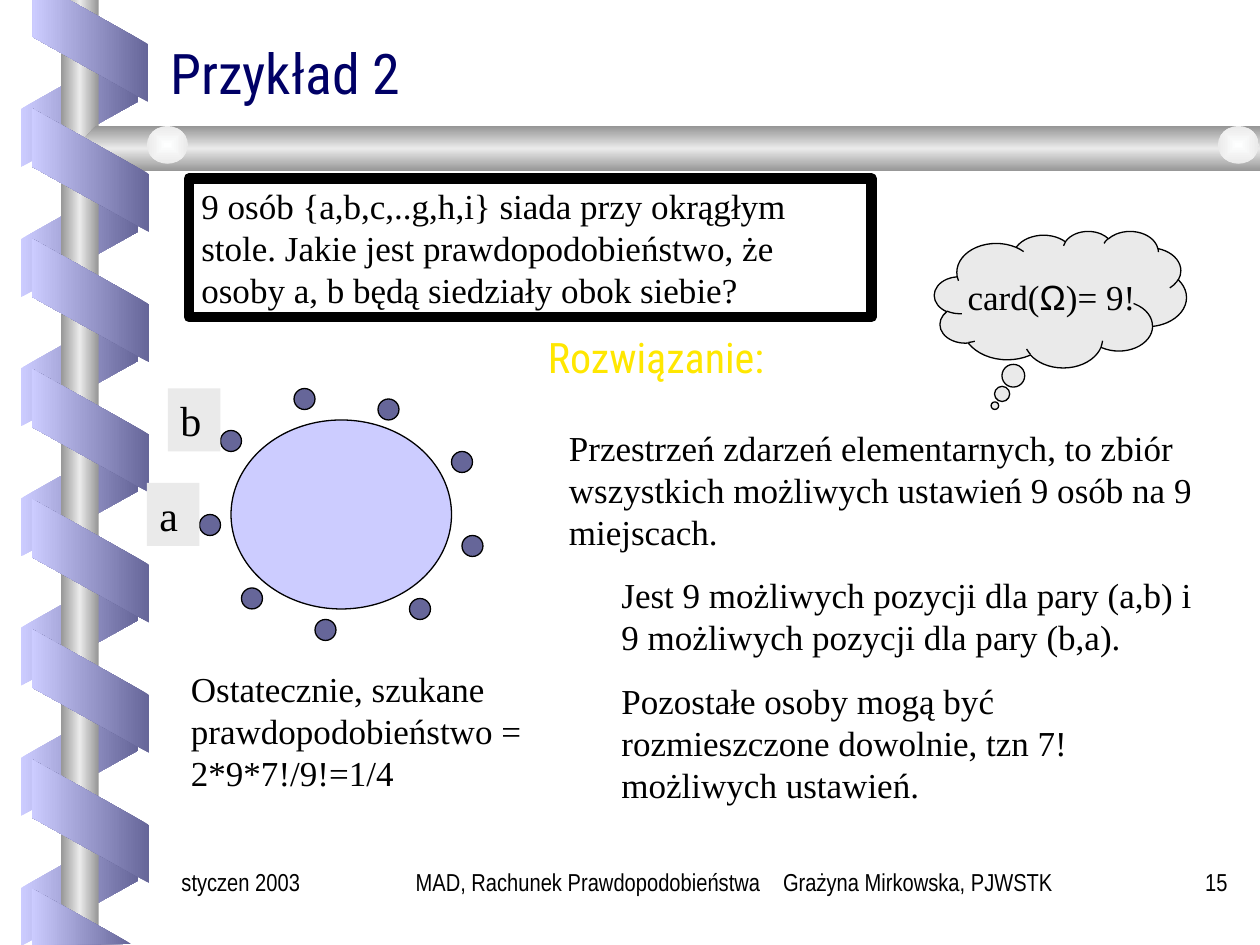
from pptx import Presentation
from pptx.dml.color import RGBColor
from pptx.enum.shapes import MSO_SHAPE
from pptx.enum.text import MSO_ANCHOR, MSO_AUTO_SIZE, PP_ALIGN
from pptx.oxml import parse_xml
from pptx.oxml.ns import nsdecls, qn
from pptx.util import Pt
from lxml import etree

PX = 7620  # EMU per px, 120 px to the inch
RECTANGLE, ELLIPSE = MSO_SHAPE.RECTANGLE, MSO_SHAPE.OVAL
PARALLELOGRAM, CLOUD = MSO_SHAPE.PARALLELOGRAM, MSO_SHAPE.CLOUD_CALLOUT
TOP, MIDDLE, BOTTOM = MSO_ANCHOR.TOP, MSO_ANCHOR.MIDDLE, MSO_ANCHOR.BOTTOM
LEFT, CENTER, RIGHT = PP_ALIGN.LEFT, PP_ALIGN.CENTER, PP_ALIGN.RIGHT

BLACK = RGBColor(0x00, 0x00, 0x00)
NAVY = RGBColor(0x00, 0x00, 0x66)
YELLOW = RGBColor(0xFF, 0xE7, 0x01)
LILAC = RGBColor(0xCC, 0xCC, 0xFF)
SLATE = RGBColor(0x66, 0x66, 0x99)
PALE_GREY = RGBColor(0xEA, 0xEA, 0xEA)
MID_GREY = RGBColor(0x96, 0x96, 0x96)
BRIGHT = RGBColor(0xFE, 0xFF, 0xFF)

SERIF, HEADING, NARROW, SANS = "Times New Roman", "Roboto Condensed", "Arial Narrow", "Arial"
STEEL = [MID_GREY, PALE_GREY, MID_GREY]


class SlideBuilder:
    def __init__(self, slide):
        self.slide = slide

    def gradient(self, shape, colors, angle=None):
        """Spread the colours evenly; without an angle they run from centre to edge."""
        stops = "".join(
            f'<a:gs pos="{100000 * i // (len(colors) - 1)}"><a:srgbClr val="{color}"/></a:gs>'
            for i, color in enumerate(colors))
        if angle is None:
            course = ('<a:path path="rect"><a:fillToRect l="50000" t="50000" '
                      'r="50000" b="50000"/></a:path>')
        else:
            course = f'<a:lin ang="{angle * 60000}" scaled="0"/>'
        shape.fill.gradient()
        properties = shape._element.spPr
        properties.replace(properties.find(qn("a:gradFill")), parse_xml(
            f'<a:gradFill {nsdecls("a")} rotWithShape="0">'
            f'<a:gsLst>{stops}</a:gsLst>{course}</a:gradFill>'))

    def finish(self, shape, fill, line, line_width):
        shape.shadow.inherit = False
        if fill is None:
            shape.fill.background()
        else:
            shape.fill.solid()
            shape.fill.fore_color.rgb = fill
        if line is None:
            shape.line.fill.background()
        else:
            shape.line.color.rgb = line
            shape.line.width = Pt(line_width)
        return shape

    def shape(self, kind, left, top, width, height, fill=None, line=None, line_width=0.75):
        shape = self.slide.shapes.add_shape(
            kind, left * PX, top * PX, width * PX, height * PX)
        return self.finish(shape, fill, line, line_width)

    def outline(self, points, colors, angle):
        builder = self.slide.shapes.build_freeform(*points[0], scale=PX)
        builder.add_line_segments(points[1:], close=True)
        shape = self.finish(builder.convert_to_shape(), None, None, 0)
        self.gradient(shape, colors, angle)

    def ribbon(self, left, top, rotation, colors, flipped=False):
        shape = self.shape(PARALLELOGRAM, left, top, 118, 112)
        shape.adjustments[0] = 0.56
        shape.rotation = rotation
        if flipped:
            shape._element.spPr.xfrm.set("flipH", "1")
        self.gradient(shape, colors, 180)

    def put_text(self, shape, texts, size=20, font=SERIF, color=BLACK, align=LEFT,
                 anchor=TOP, wrap=True, tab=None):
        """Fill a shape with paragraphs; each is a string or a list of (text, font) runs."""
        frame = shape.text_frame
        frame.auto_size = MSO_AUTO_SIZE.NONE
        frame.word_wrap = wrap
        frame.vertical_anchor = anchor
        for i, text in enumerate(texts):
            paragraph = frame.add_paragraph() if i else frame.paragraphs[0]
            if tab:
                tabs = etree.SubElement(paragraph._p.get_or_add_pPr(), qn("a:tabLst"))
                etree.SubElement(tabs, qn("a:tab"), pos=str(tab * PX), algn="l")
            paragraph.alignment = align
            if i:
                paragraph.space_before = Pt(12.5)
            paragraph.font.size = Pt(size)
            paragraph.font.color.rgb = color
            if isinstance(text, str):
                paragraph.font.name = font
                paragraph.add_run().text = text
            else:
                for run_text, run_font in text:
                    run = paragraph.add_run()
                    run.text = run_text
                    run.font.name = run_font

    def text(self, left, top, width, height, *texts, **style):
        box = self.slide.shapes.add_textbox(left * PX, top * PX, width * PX, height * PX)
        self.put_text(box, texts, **style)

    def title(self, left, top, width, height, text):
        title = self.slide.shapes.title
        title.left, title.top = left * PX, top * PX
        title.width, title.height = width * PX, height * PX
        self.put_text(title, [text], size=32, font=HEADING, color=NAVY, anchor=BOTTOM)
        title.text_frame.paragraphs[0].line_spacing = 0.8


def draw_frame(builder):
    for i in range(7):
        builder.ribbon(17, round(44 + 123.6 * i), 90, [LILAC, SLATE], flipped=True)
    builder.gradient(builder.shape(RECTANGLE, 58, 0, 36, 900), STEEL, 180)
    builder.outline([(1200, 120), (91, 120), (72, 142), (91, 163), (1200, 163)], STEEL, 90)
    for left in (140, 1160):
        builder.gradient(builder.shape(ELLIPSE, left, 120, 39, 36), [BRIGHT, PALE_GREY])
    for i in range(6):
        builder.ribbon(27, 106 + 124 * i, 270, [SLATE, LILAC])
    for points in ([(31, 0), (31, 35), (141, 97), (141, 42), (66, 0)],
                   [(125, 899), (30, 846), (30, 900)]):
        builder.outline(points, [SLATE, LILAC], 180)


def draw_table_with_people(builder):
    builder.shape(ELLIPSE, 220, 400, 210, 180, LILAC, BLACK)
    seats = [(280, 370), (360, 380), (430, 430), (390, 570), (440, 510),
             (210, 410), (190, 490), (230, 560), (300, 590)]
    for left, top in seats:
        builder.shape(ELLIPSE, left, top, 20, 20, SLATE, BLACK)
    for name, left, top in (("a", 140, 460), ("b", 160, 370)):
        label = builder.shape(RECTANGLE, left, top, 50, 60, PALE_GREY)
        builder.put_text(label, [name], size=24)


def main():
    presentation = Presentation()
    presentation.slide_width, presentation.slide_height = 1200 * PX, 900 * PX
    builder = SlideBuilder(presentation.slides.add_slide(presentation.slide_layouts[5]))

    draw_frame(builder)
    builder.title(150, 30, 1020, 76, "Przykład 2")
    problem = builder.shape(RECTANGLE, 180, 170, 650, 132, line=BLACK, line_width=6)
    builder.put_text(problem, [
        "9 osób {a,b,c,..g,h,i} siada przy okrągłym stole. Jakie jest "
        "prawdopodobieństwo, że osoby a, b będą siedziały obok siebie?"])
    builder.text(530, 400, 620, 132,
                 "Przestrzeń zdarzeń elementarnych, to zbiór wszystkich "
                 "możliwych ustawień 9 osób na 9 miejscach.")
    draw_table_with_people(builder)

    cloud = builder.shape(CLOUD, 890, 220, 240, 130, PALE_GREY, BLACK)
    cloud.adjustments[0], cloud.adjustments[1] = -0.26, 0.78
    builder.put_text(cloud, [[("card(", SERIF), ("Ω", SANS), (")= 9!", SERIF)]],
                     align=CENTER, anchor=MIDDLE, wrap=False)

    builder.text(580, 540, 570, 233,
                 "Jest 9 możliwych pozycji dla pary (a,b) i 9 możliwych pozycji dla pary (b,a).",
                 "Pozostałe osoby mogą być rozmieszczone dowolnie, tzn 7! możliwych ustawień.")
    builder.text(170, 630, 390, 132,
                 "Ostatecznie, szukane prawdopodobieństwo = 2*9*7!/9!=1/4")
    builder.text(510, 310, 312, 70, "Rozwiązanie:",
                 size=24, font=HEADING, color=YELLOW, wrap=False)

    footer = {"size": 14, "font": NARROW}
    builder.text(161, 820, 169, 60, "styczen 2003", **footer)
    builder.text(384, 820, 690, 60,
                 "MAD, Rachunek Prawdopodobieństwa\tGrażyna Mirkowska, PJWSTK",
                 tab=350, **footer)
    builder.text(1080, 820, 101, 60, "15", align=RIGHT, **footer)
    presentation.save("out.pptx")


if __name__ == "__main__":
    main()
